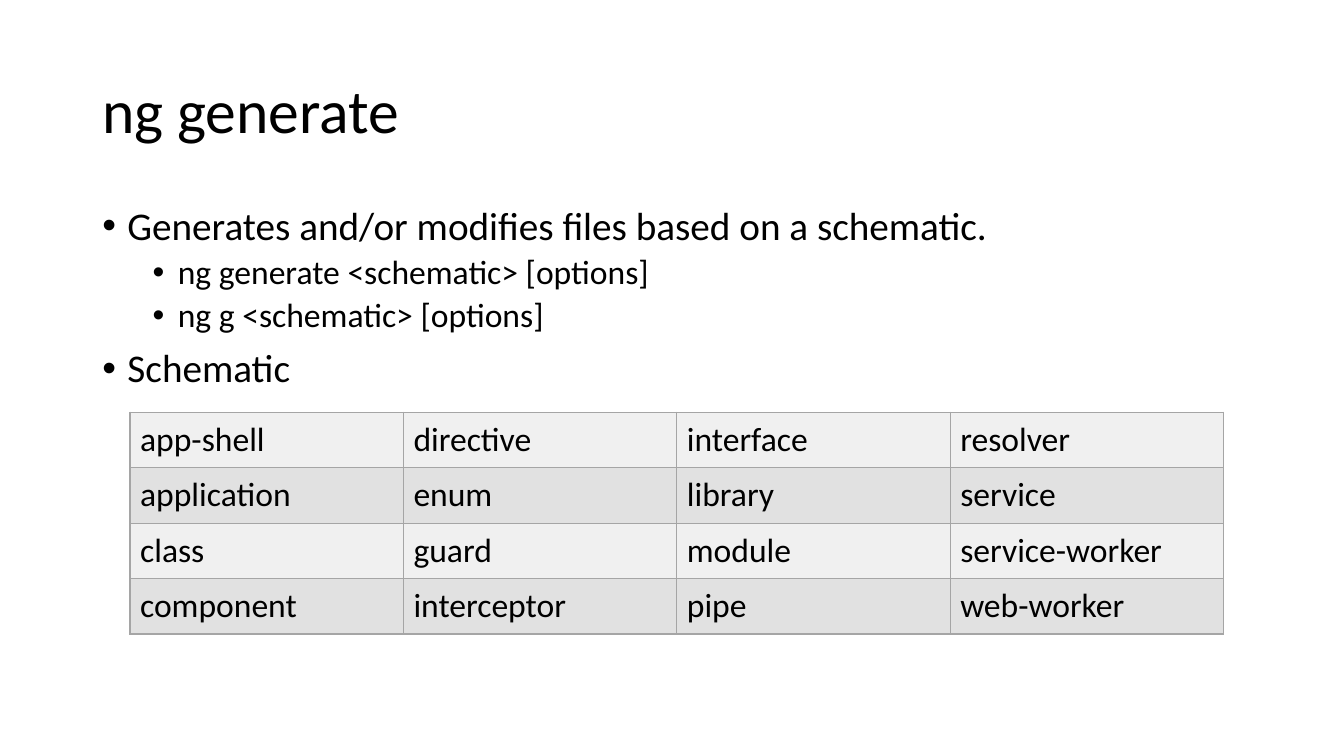
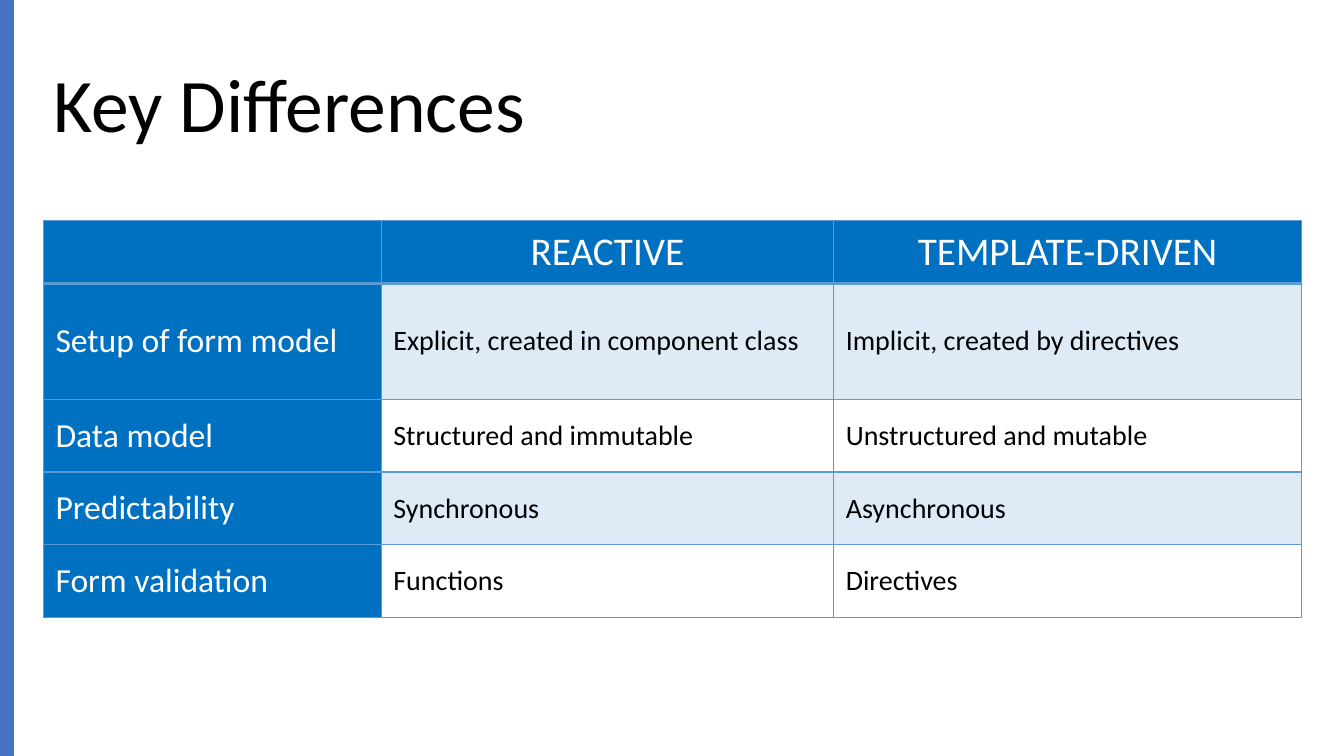
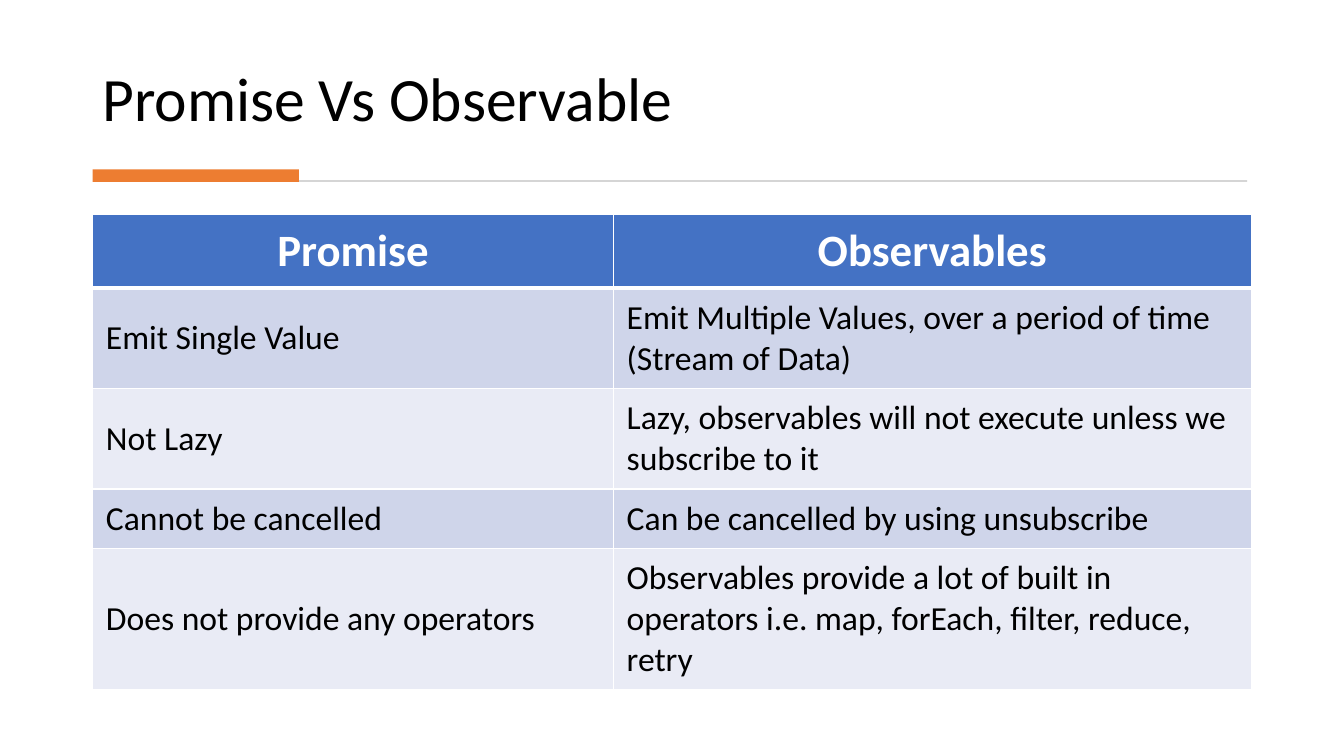
from lxml.etree import SubElement
from pptx import Presentation
from pptx.dml.color import RGBColor
from pptx.enum.shapes import MSO_SHAPE
from pptx.enum.text import MSO_ANCHOR, PP_ALIGN
from pptx.oxml.ns import qn
from pptx.util import Pt

FONT = "Calibri"
BLACK, WHITE = "000000", "FFFFFF"
BLUE, ORANGE, GREY = "4472C4", "ED7D31", "D5D5D5"
BULLET_LEVELS = [
    {"size": 28, "indent": 18, "space": 10},
    {"size": 24, "indent": 54, "space": 5},
]

SLIDES = [
    {
        "title": {"text": "ng generate", "size": 44, "box": (66, 28.75, 828, 104.4), "anchor": MSO_ANCHOR.MIDDLE},
        "bullets": [
            (0, "Generates and/or modifies files based on a schematic."),
            (1, "ng generate <schematic> [options]"),
            (1, "ng g <schematic> [options]"),
            (0, "Schematic"),
        ],
        "table": {
            "position": (92.9, 294.5),
            "columns": [195.3] * 4,
            "heights": [39.6] * 4,
            "rows": [
                ["app-shell", "directive", "interface", "resolver"],
                ["application", "enum", "library", "service"],
                ["class", "guard", "module", "service-worker"],
                ["component", "interceptor", "pipe", "web-worker"],
            ],
            "border": "A5A5A5",
            "bands": ["F0F0F0", "E1E1E1"],
            "body": {"size": 24, "margins": (7.2, 3.6)},
        },
    },
    {
        "title": {"text": "Key Differences", "size": 54, "box": (31, 25.2, 898.6, 104.4), "anchor": MSO_ANCHOR.MIDDLE},
        "bars": [(BLUE, (0, 0, 10, 540))],
        "table": {
            "position": (31, 157.6),
            "columns": [241.3, 323.2, 334.1],
            "heights": [44.8, 82.8, 52, 52, 52],
            "rows": [
                ["", "REACTIVE", "TEMPLATE-DRIVEN"],
                ["Setup of form model", "Explicit, created in component class", "Implicit, created by directives"],
                ["Data model", "Structured and immutable", "Unstructured and mutable"],
                ["Predictability", "Synchronous", "Asynchronous"],
                ["Form validation", "Functions", "Directives"],
            ],
            "border": "5B9BD5",
            "bands": ["DEEBF7", WHITE],
            "header": {"fill": "0070C0", "color": WHITE, "size": 28, "margins": (11, 4.5), "rule": 2},
            "label": {"fill": "0070C0", "color": WHITE, "size": 24, "margins": (8.7, 8.7)},
            "body": {"size": 20, "margins": (8.7, 8.7)},
        },
    },
    {
        "title": {"text": "Promise Vs Observable", "size": 44, "box": (66, 20.2, 827.3, 80), "anchor": MSO_ANCHOR.BOTTOM},
        "bars": [(GREY, (68.2, 128.7, 822.6, 1.3)), (ORANGE, (66.2, 121, 147.4, 8.9))],
        "table": {
            "position": (66.2, 153.4),
            "columns": [372, 455.6],
            "heights": [52.5, 71.7, 71.7, 42.5, 100.8],
            "rows": [
                ["Promise", "Observables"],
                ["Emit Single Value", "Emit Multiple Values, over a period of time (Stream of Data)"],
                ["Not Lazy", "Lazy, observables will not execute unless we subscribe to it"],
                ["Cannot be cancelled", "Can be cancelled by using unsubscribe"],
                [
                    "Does not provide any operators",
                    "Observables provide a lot of built in operators i.e. map, forEach, filter, reduce, retry",
                ],
            ],
            "border": WHITE,
            "bands": ["CFD5EA", "E9EBF5"],
            "header": {"fill": BLUE, "color": WHITE, "size": 32, "bold": True, "margins": (9.5, 4.8), "rule": 3},
            "body": {"size": 24, "margins": (9.5, 4.8)},
        },
    },
]


def rgb(value):
    return RGBColor.from_string(value)


def set_attributes(target, values):
    for name, value in values.items():
        setattr(target, name, value)


def write(paragraph, text, size, color=BLACK, bold=False):
    run = paragraph.add_run()
    run.text = text
    set_attributes(run.font, {"name": FONT, "size": Pt(size), "bold": bold})
    run.font.color.rgb = rgb(color)


def add_text_frame(slide, box, anchor):
    frame = slide.shapes.add_textbox(*map(Pt, box)).text_frame
    set_attributes(frame, {"word_wrap": True, "vertical_anchor": anchor})
    return frame


def add_title(slide, text, size, box, anchor):
    paragraph = add_text_frame(slide, box, anchor).paragraphs[0]
    paragraph.line_spacing = 0.9
    write(paragraph, text, size)


def add_bullets(slide, bullets):
    frame = add_text_frame(slide, (66, 143.75, 828, 342.6), MSO_ANCHOR.TOP)
    for index, (level, text) in enumerate(bullets):
        style = BULLET_LEVELS[level]
        paragraph = frame.add_paragraph() if index else frame.paragraphs[0]
        set_attributes(paragraph, {"level": level, "line_spacing": 0.9, "space_before": Pt(style["space"])})
        properties = paragraph._p.get_or_add_pPr()
        properties.set("marL", str(Pt(style["indent"])))
        properties.set("indent", str(Pt(-18)))
        SubElement(properties, qn("a:buFont"), typeface="Arial")
        SubElement(properties, qn("a:buChar"), char="•")
        write(paragraph, text, style["size"])


def add_bar(slide, color, box):
    shape = slide.shapes.add_shape(MSO_SHAPE.RECTANGLE, *map(Pt, box))
    shape.shadow.inherit = False
    shape.fill.solid()
    shape.fill.fore_color.rgb = rgb(color)
    shape.line.fill.background()


def add_borders(cell, color, widths):
    properties = cell._tc.get_or_add_tcPr()
    for side, width in widths.items():
        line = SubElement(properties, qn(f"a:ln{side}"), w=str(Pt(width)))
        fill = SubElement(line, qn("a:solidFill"))
        SubElement(fill, qn("a:srgbClr"), val=color)


def style_for(table_data, row, column):
    if row == 0 and "header" in table_data:
        return table_data["header"]
    if column == 0 and "label" in table_data:
        return table_data["label"]
    body_row = row - ("header" in table_data)
    return {"fill": table_data["bands"][body_row % 2], **table_data["body"]}


def add_table(slide, data):
    columns, heights = data["columns"], data["heights"]
    box = (*data["position"], sum(columns), sum(heights))
    table = slide.shapes.add_table(len(heights), len(columns), *map(Pt, box)).table
    set_attributes(table, {"first_row": "header" in data, "horz_banding": False})
    for column, width in zip(table.columns, columns):
        column.width = Pt(width)
    for row, height in zip(table.rows, heights):
        row.height = Pt(height)
    rule = data.get("header", {}).get("rule", 1)
    for row, texts in enumerate(data["rows"]):
        for column, text in enumerate(texts):
            style = style_for(data, row, column)
            cell = table.cell(row, column)
            top, bottom = (rule if row == 1 else 1), (rule if row == 0 else 1)
            add_borders(cell, data["border"], {"L": 1, "R": 1, "T": top, "B": bottom})
            cell.fill.solid()
            cell.fill.fore_color.rgb = rgb(style["fill"])
            side, edge = map(Pt, style["margins"])
            set_attributes(cell, {
                "margin_left": side, "margin_right": side,
                "margin_top": edge, "margin_bottom": edge,
                "vertical_anchor": MSO_ANCHOR.MIDDLE,
            })
            paragraph = cell.text_frame.paragraphs[0]
            paragraph.alignment = PP_ALIGN.CENTER if "rule" in style else PP_ALIGN.LEFT
            if text:
                write(paragraph, text, style["size"], style.get("color", BLACK), style.get("bold", False))


def main():
    """Build the three slides and save the presentation."""
    presentation = Presentation()
    set_attributes(presentation, {"slide_width": Pt(960), "slide_height": Pt(540)})
    for content in SLIDES:
        slide = presentation.slides.add_slide(presentation.slide_layouts[6])
        add_title(slide, **content["title"])
        if "bullets" in content:
            add_bullets(slide, content["bullets"])
        for color, box in content.get("bars", []):
            add_bar(slide, color, box)
        add_table(slide, content["table"])
    presentation.save("out.pptx")


if __name__ == "__main__":
    main()
